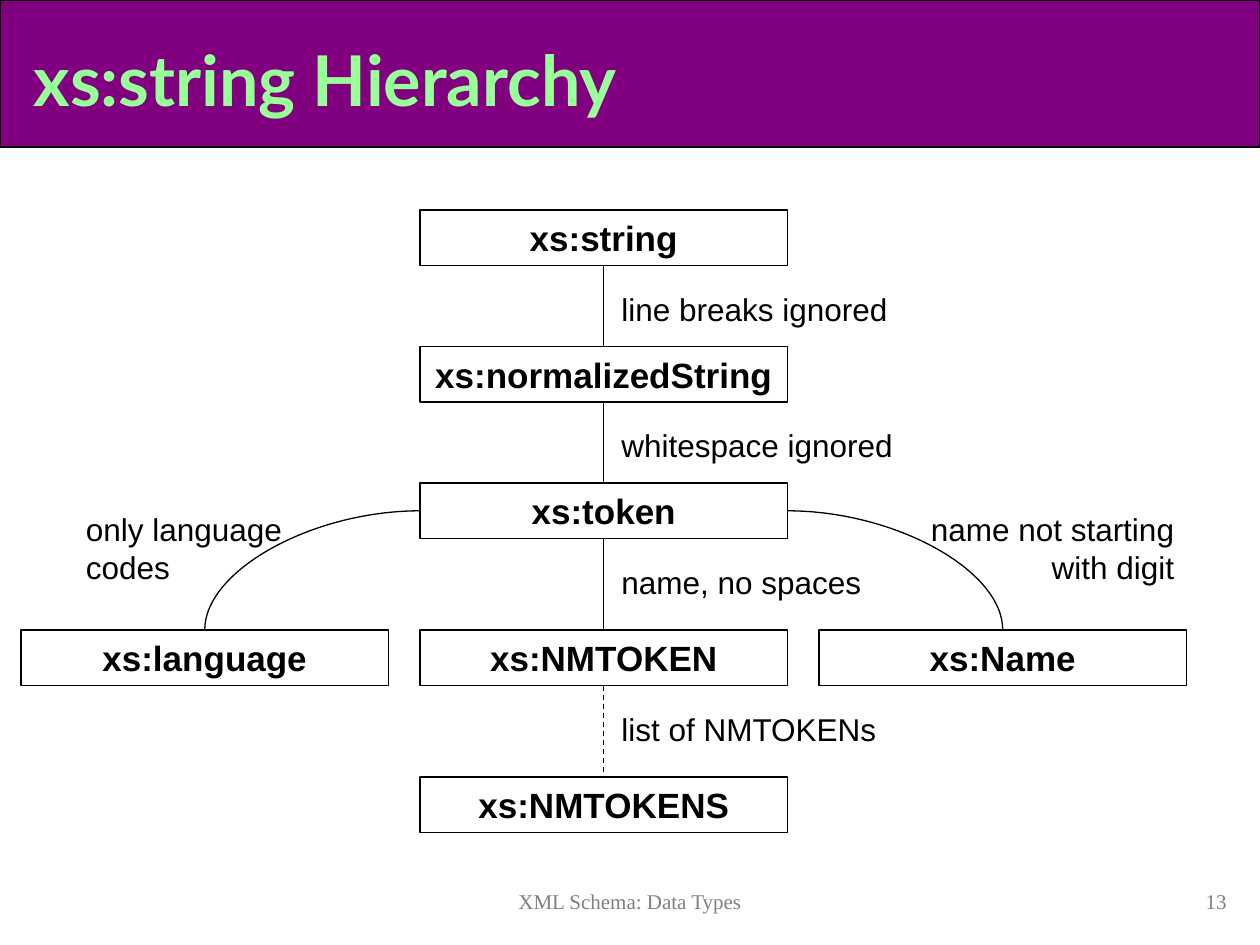
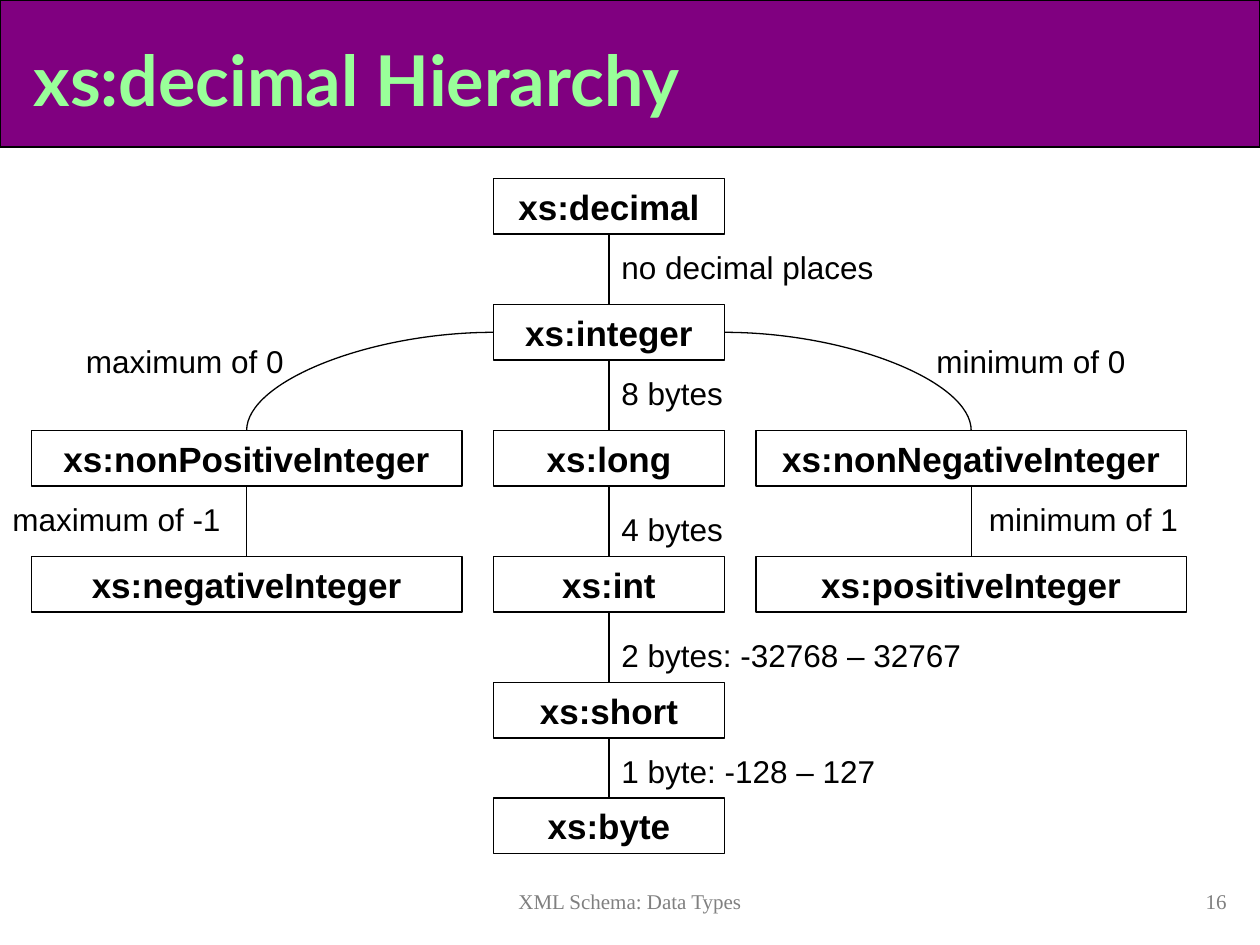
import dataclasses

import pptx
import pptx.dml.color
import pptx.enum.dml
import pptx.enum.shapes
import pptx.enum.text
import pptx.oxml
import pptx.oxml.ns
import pptx.util

ALIGN = pptx.enum.text.PP_ALIGN
CONNECTOR = pptx.enum.shapes.MSO_CONNECTOR
RECTANGLE = pptx.enum.shapes.MSO_SHAPE.RECTANGLE
TOP, LEFT, BOTTOM, RIGHT = range(4)
CELL = pptx.util.Inches(1) / 12
NODE_HEIGHT = 5.3
LINE_HEIGHT = 3.6
FOOTER = "XML Schema: Data Types"


@dataclasses.dataclass(frozen=True)
class Style:
    """Font, size, colour and weight of a kind of text."""
    font: str
    size: int
    color: str
    bold: bool = False


@dataclasses.dataclass(frozen=True)
class Theme:
    """Colours and type styles shared by the slides."""
    band: str = "800080"
    paper: str = "FFFFFF"
    ink: str = "000000"
    line_width: float = 0.75
    title: Style = Style("Lato", 40, "99FF99", True)
    node: Style = Style("Arial", 20, "000000", True)
    label: Style = Style("Arial", 18, "000000")
    footer: Style = Style("Times New Roman", 12, "808080")


@dataclasses.dataclass(frozen=True)
class Box:
    """An area in cells of the slide grid."""
    col: float
    row: float
    width: float
    height: float

    def area(self, col, row, width, height):
        """Return an area placed relative to this one."""
        return Box(self.col + col, self.row + row, width, height)

    def lengths(self):
        """Return left, top, width and height as slide lengths."""
        return [round(n * CELL) for n in (self.col, self.row, self.width, self.height)]


@dataclasses.dataclass(frozen=True)
class Hierarchy:
    """Contents of one hierarchy slide, in grid cells of the diagram."""
    title: str
    number: int
    columns: list
    rows: list
    nodes: dict
    links: list
    labels: list


THEME = Theme()
SLIDE = Box(0, 0, 120, 90)
BAND = SLIDE.area(0, 0, 120, 14)
DIAGRAM = SLIDE.area(0, 14, 120, 70)
FOOTER_BAR = SLIDE.area(0, 84, 120, 4)

HIERARCHIES = [
    Hierarchy(
        "xs:string Hierarchy", 13,
        columns=[(2, 35), (40, 35), (78, 35)],
        rows=[6, 19, 32, 46, 60],
        nodes={
            "xs:string": (1, 0), "xs:normalizedString": (1, 1), "xs:token": (1, 2),
            "xs:language": (0, 3), "xs:NMTOKEN": (1, 3), "xs:Name": (2, 3),
            "xs:NMTOKENS": (1, 4),
        },
        links=[
            ("xs:string", "xs:normalizedString", False),
            ("xs:normalizedString", "xs:token", False),
            ("xs:token", "xs:language", False),
            ("xs:token", "xs:NMTOKEN", False),
            ("xs:token", "xs:Name", False),
            ("xs:NMTOKEN", "xs:NMTOKENS", True),
        ],
        labels=[
            ("line breaks ignored", 58, 13, 28, 1, ALIGN.LEFT),
            ("whitespace ignored", 58, 26, 28.5, 1, ALIGN.LEFT),
            ("only language codes", 7, 34, 23, 2, ALIGN.LEFT),
            ("name not starting with digit", 85, 34, 28, 2, ALIGN.RIGHT),
            ("name, no spaces", 58, 39, 26, 1, ALIGN.LEFT),
            ("list of NMTOKENs", 58, 53, 27, 1, ALIGN.LEFT),
        ],
    ),
    Hierarchy(
        "xs:decimal Hierarchy", 16,
        columns=[(3, 41), (47, 22), (72, 41)],
        rows=[3, 15, 27, 39, 51, 62],
        nodes={
            "xs:decimal": (1, 0), "xs:integer": (1, 1),
            "xs:nonPositiveInteger": (0, 2), "xs:long": (1, 2),
            "xs:nonNegativeInteger": (2, 2), "xs:negativeInteger": (0, 3),
            "xs:int": (1, 3), "xs:positiveInteger": (2, 3),
            "xs:short": (1, 4), "xs:byte": (1, 5),
        },
        links=[
            ("xs:decimal", "xs:integer", False),
            ("xs:integer", "xs:nonPositiveInteger", False),
            ("xs:integer", "xs:long", False),
            ("xs:integer", "xs:nonNegativeInteger", False),
            ("xs:nonPositiveInteger", "xs:negativeInteger", False),
            ("xs:long", "xs:int", False),
            ("xs:nonNegativeInteger", "xs:positiveInteger", False),
            ("xs:int", "xs:short", False),
            ("xs:short", "xs:byte", False),
        ],
        labels=[
            ("no decimal places", 58, 9, 27, 1, ALIGN.LEFT),
            ("maximum of 0", 7, 18, 24, 1, ALIGN.LEFT),
            ("minimum of 0", 88, 18, 22, 1, ALIGN.LEFT),
            ("8 bytes", 58, 21, 13, 1, ALIGN.LEFT),
            ("maximum of -1", 0, 33, 24, 1, ALIGN.LEFT),
            ("minimum of 1", 93, 33, 23, 1, ALIGN.LEFT),
            ("4 bytes", 58, 34, 13, 1, ALIGN.LEFT),
            ("2 bytes: -32768 – 32767", 58, 46, 35, 1, ALIGN.LEFT),
            ("1 byte: -128 – 127", 58, 57, 27, 1, ALIGN.LEFT),
        ],
    ),
]


def rgb(color):
    """Turn a hex string into a colour."""
    return pptx.dml.color.RGBColor.from_string(color)


def write(sp, text, style, align):
    """Put one styled paragraph into a shape."""
    tf = sp.text_frame
    tf.text = text
    tf.word_wrap = True
    p = tf.paragraphs[0]
    p.alignment = align
    font = p.runs[0].font
    font.name, font.bold = style.font, style.bold
    font.size = pptx.util.Pt(style.size)
    font.color.rgb = rgb(style.color)


def add_text(s, box, text, style, align):
    """Add a text box."""
    write(s.shapes.add_textbox(*box.lengths()), text, style, align)


def draw_line(sp):
    """Give a shape or connector the shared line."""
    sp.line.color.rgb = rgb(THEME.ink)
    sp.line.width = pptx.util.Pt(THEME.line_width)


def add_rectangle(s, box, fill):
    """Add a filled rectangle with the shared line."""
    sp = s.shapes.add_shape(RECTANGLE, *box.lengths())
    sp.shadow.inherit = False
    sp.fill.solid()
    sp.fill.fore_color.rgb = rgb(fill)
    draw_line(sp)
    return sp


def add_band(s, master, box):
    """Place the title band at the back of the slide master."""
    band = add_rectangle(s, box, THEME.band)
    master.shapes.element.insert(2, band.element)


def add_title(s, box, text):
    """Format the title placeholder inside the band."""
    sp = s.shapes.title
    sp.left, sp.top, sp.width, sp.height = box.area(2, 2, 115, 11).lengths()
    write(sp, text, THEME.title, ALIGN.LEFT)
    sp.text_frame.vertical_anchor = pptx.enum.text.MSO_ANCHOR.MIDDLE


def add_link(s, parent, child, dashed):
    """Join two nodes, straight down a column or curved to another one."""
    start, end = (sp.left + sp.width // 2 for sp in (parent, child))
    straight = start == end
    kind = CONNECTOR.STRAIGHT if straight else CONNECTOR.CURVE
    side = BOTTOM if straight else LEFT if end < start else RIGHT
    link = s.shapes.add_connector(kind, 0, 0, 0, 0)
    link.begin_connect(parent, side)
    link.end_connect(child, TOP)
    draw_line(link)
    if dashed:
        link.line.dash_style = pptx.enum.dml.MSO_LINE.DASH
    properties = link.element.spPr
    if not straight:
        geometry = properties.find(pptx.oxml.ns.qn("a:prstGeom"))
        geometry.set("prst", "curvedConnector2")
    properties.append(pptx.oxml.parse_xml(
        f"<a:effectLst {pptx.oxml.ns.nsdecls('a')}/>"))


def add_diagram(s, box, hierarchy):
    """Draw the nodes, links and labels of a hierarchy."""
    nodes = {}
    for name, (column, row) in hierarchy.nodes.items():
        col, width = hierarchy.columns[column]
        area = box.area(col, hierarchy.rows[row], width, NODE_HEIGHT)
        nodes[name] = add_rectangle(s, area, THEME.paper)
        write(nodes[name], name, THEME.node, ALIGN.CENTER)
    for parent, child, dashed in hierarchy.links:
        add_link(s, nodes[parent], nodes[child], dashed)
    for text, col, row, width, lines, align in hierarchy.labels:
        area = box.area(col, row, width, lines * LINE_HEIGHT + 1.2)
        add_text(s, area, text, THEME.label, align)


def add_footer(s, box, number):
    """Add the footer and the slide number."""
    add_text(s, box.area(29, 0, 62, 4), FOOTER, THEME.footer, ALIGN.CENTER)
    add_text(s, box.area(93, 0, 25, 4), str(number), THEME.footer, ALIGN.RIGHT)


def add_hierarchy_slide(prs, hierarchy):
    """Build one hierarchy slide."""
    s = prs.slides.add_slide(prs.slide_layouts.get_by_name("Title Only"))
    add_title(s, BAND, hierarchy.title)
    add_diagram(s, DIAGRAM, hierarchy)
    add_footer(s, FOOTER_BAR, hierarchy.number)


def main():
    """Build and save the presentation."""
    prs = pptx.Presentation()
    prs.slide_width = round(SLIDE.width * CELL)
    prs.slide_height = round(SLIDE.height * CELL)
    for hierarchy in HIERARCHIES:
        add_hierarchy_slide(prs, hierarchy)
    add_band(prs.slides[0], prs.slide_master, BAND)
    prs.save("out.pptx")


if __name__ == "__main__":
    main()
